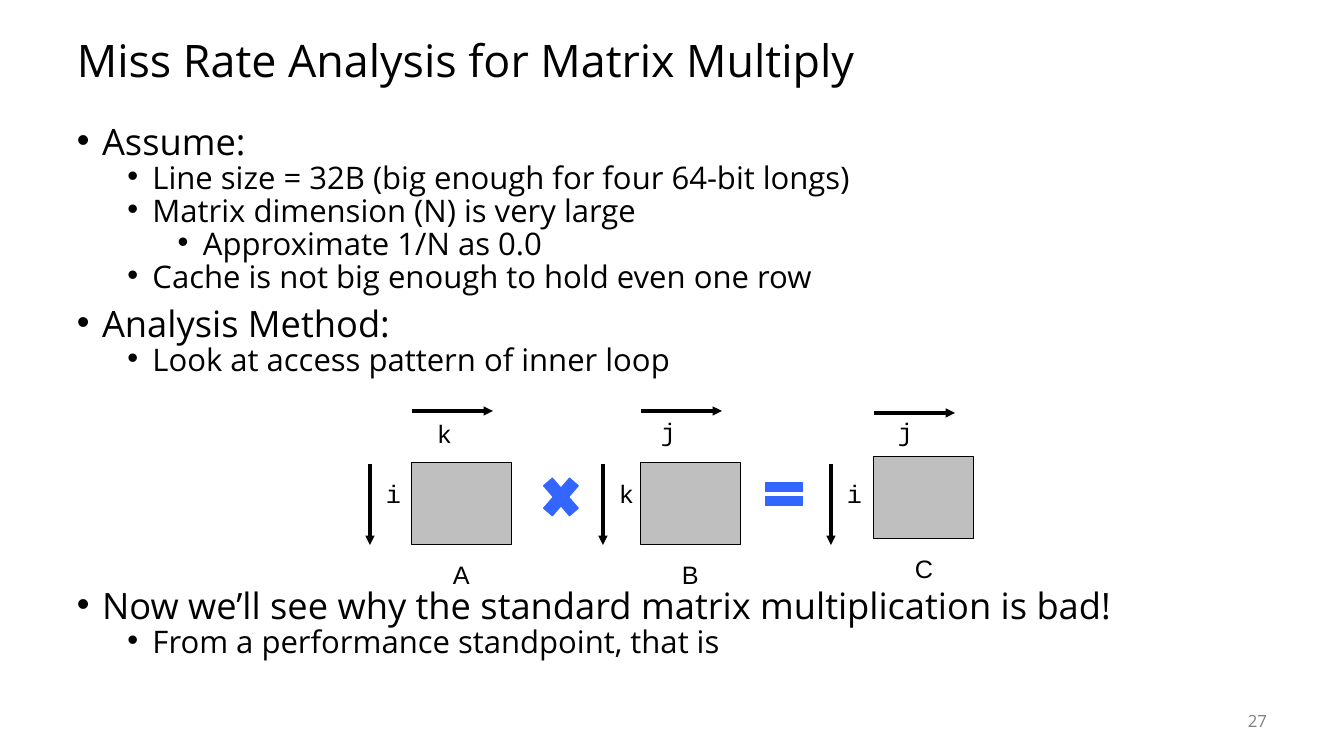
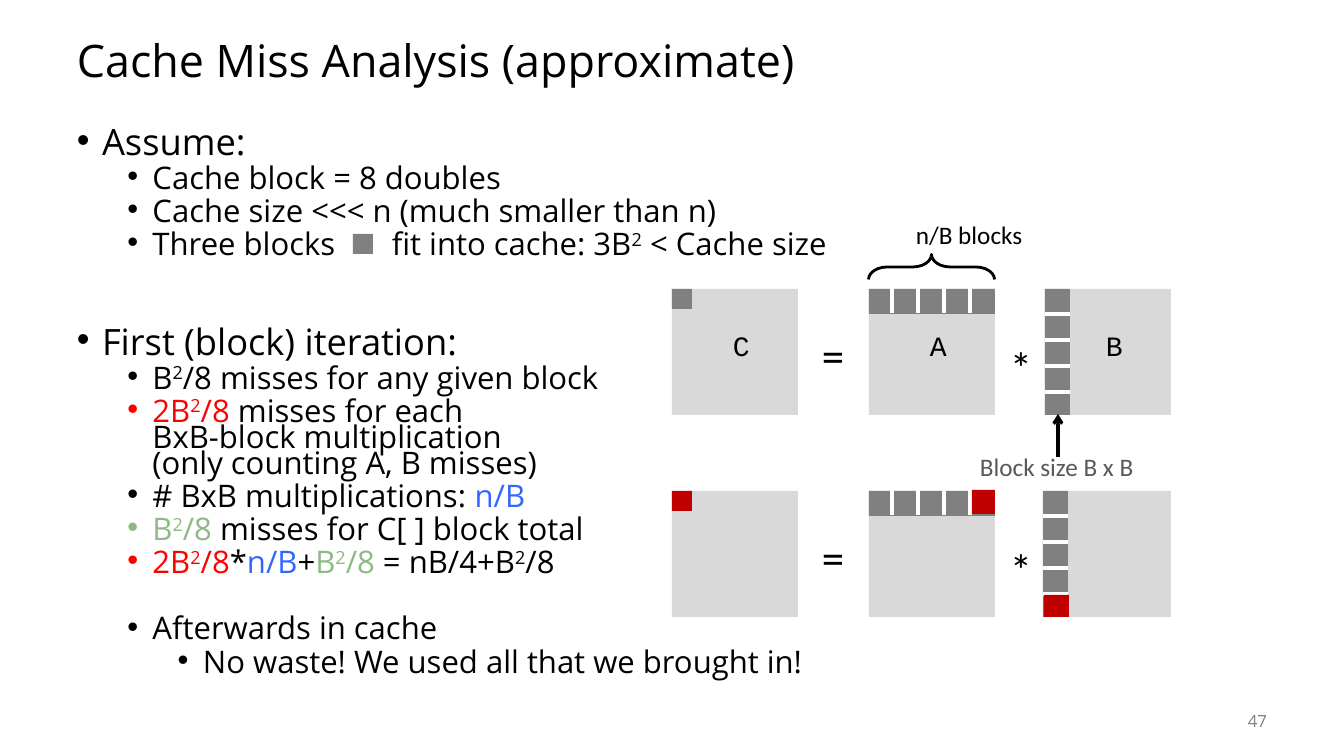
from dataclasses import dataclass

from lxml.etree import SubElement
from pptx import Presentation
from pptx.dml.color import RGBColor
from pptx.enum.shapes import MSO_CONNECTOR, MSO_SHAPE
from pptx.enum.text import MSO_ANCHOR as Anchor, PP_ALIGN as Align
from pptx.oxml.ns import qn
from pptx.util import Emu, Inches, Pt

SCALE = 914400 / 100.8

BLACK = RGBColor(0x00, 0x00, 0x00)
WHITE = RGBColor(0xFF, 0xFF, 0xFF)
GRAY = RGBColor(0x80, 0x80, 0x80)
CAPTION_GRAY = RGBColor(0x59, 0x59, 0x59)
MATRIX_GRAY = RGBColor(0xBF, 0xBF, 0xBF)
PANEL_GRAY = RGBColor(0xD9, 0xD9, 0xD9)
BLUE = RGBColor(0x33, 0x66, 0xFF)
RED = RGBColor(0xFF, 0x00, 0x00)
DARK_RED = RGBColor(0xC0, 0x00, 0x00)
GREEN = RGBColor(0x8D, 0xBA, 0x84)

SANS, MONO, LABEL, CAPTION = "Open Sans", "Courier New", "Arial", "Calibri"
LEVEL_SIZES = (25.9, 22.2, 22.2)
LEVEL_SPACING = (14, 5, 5)
LINE_SPACING = 0.7
PANEL = 126
STRIP = 25
CORNER = 20
DIVIDER_STEP = 26


@dataclass(frozen=True)
class Span:
    """A stretch of text in one format; gap widens its characters, in points."""
    text: str
    color: RGBColor = BLACK
    raised: bool = False
    gap: float = 0


@dataclass(frozen=True)
class Bullet:
    """A bulleted paragraph with extra space above it, in points."""
    level: int
    spans: tuple[Span, ...]
    extra: float = 0


@dataclass(frozen=True)
class Matrix:
    """A square with an arrow and an index label along each side."""
    name: str
    left: int
    top: int
    across: str
    across_left: int
    across_top: int
    arrow_top: int
    down: str
    arrow_left: int


@dataclass(frozen=True)
class Product:
    """One row of the C = A * B block diagram."""
    top: int
    names: tuple[str, str, str]
    column_left: int
    corner_color: RGBColor


def px(length: float) -> Emu:
    """Turn pixels into EMU."""
    return Emu(round(length * SCALE))


def write(para, text: str, *, size: float, font: str = SANS, color=BLACK,
          raised: bool = False, gap: float = 0) -> None:
    """Add formatted text to a paragraph, with a line break at each newline."""
    for index, part in enumerate(text.split("\n")):
        if index:
            para.add_line_break()
        run = para.add_run()
        run.text = part
        run.font.name = font
        run.font.size = Pt(size)
        run.font.color.rgb = color
        properties = run.font._element
        if raised:
            properties.set("baseline", "30000")
        if gap:
            properties.set("spc", str(round(gap * 100)))


def add_text(page, text: str, left: int, top: int, width: int, height: int, *,
             wrap: bool = False, anchor=Anchor.TOP, align=Align.LEFT,
             spacing: float = 1.0, **style) -> None:
    """Add a text box that holds one paragraph."""
    box = page.shapes.add_textbox(px(left), px(top), px(width), px(height))
    frame = box.text_frame
    frame.word_wrap = wrap
    frame.vertical_anchor = anchor
    para = frame.paragraphs[0]
    para.alignment = align
    para.line_spacing = spacing
    write(para, text, **style)


def add_block(page, left: int, top: int, width: int, height: int, *,
              kind=MSO_SHAPE.RECTANGLE, fill=None, line=None, weight: float = 0.75):
    """Add a flat preset shape and return it."""
    block = page.shapes.add_shape(kind, px(left), px(top), px(width), px(height))
    block.shadow.inherit = False
    if fill is None:
        block.fill.background()
    else:
        block.fill.solid()
        block.fill.fore_color.rgb = fill
    if line is None:
        block.line.fill.background()
    else:
        block.line.color.rgb = line
        block.line.width = Pt(weight)
    return block


def add_line(page, start: tuple[int, int], end: tuple[int, int], *,
             color=BLACK, head: str = "") -> None:
    """Add a straight line, with an arrowhead at its end if one is named."""
    line = page.shapes.add_connector(
        MSO_CONNECTOR.STRAIGHT, *map(px, start), *map(px, end))
    line.line.color.rgb = color
    line.line.width = Pt(2.25)
    if head:
        SubElement(line.line._get_or_add_ln(), qn("a:tailEnd"), type=head)
    SubElement(line._element.spPr, qn("a:effectLst"))


def add_bullets(page, bullets: tuple[Bullet, ...]) -> None:
    """Add the bulleted body text."""
    box = page.shapes.add_textbox(px(67), px(126), px(1210), px(554))
    frame = box.text_frame
    frame.word_wrap = True
    for index, bullet in enumerate(bullets):
        para = frame.add_paragraph() if index else frame.paragraphs[0]
        para.level = bullet.level
        para.line_spacing = LINE_SPACING
        above = LEVEL_SPACING[bullet.level] + bullet.extra
        para.space_before = Pt(above if index else 0)
        properties = para._p.get_or_add_pPr()
        properties.set("marL", str(Inches(0.25 + 0.5 * bullet.level)))
        properties.set("indent", str(Inches(-0.25)))
        tint = SubElement(properties, qn("a:buClr"))
        SubElement(tint, qn("a:srgbClr"), val=str(bullet.spans[0].color))
        SubElement(properties, qn("a:buFont"), typeface=LABEL)
        SubElement(properties, qn("a:buChar"), char="•")
        for span in bullet.spans:
            write(para, span.text, size=LEVEL_SIZES[bullet.level],
                  color=span.color, raised=span.raised, gap=span.gap)


def add_page(deck, title: str, number: int, bullets: tuple[Bullet, ...]):
    """Add a slide with its title, body text and page number."""
    page = deck.slides.add_slide(deck.slide_layouts[6])
    add_text(page, title, 67, 25, 1210, 76, wrap=True, anchor=Anchor.MIDDLE,
             spacing=0.9, size=32)
    add_bullets(page, bullets)
    add_text(page, str(number), 1176, 701, 101, 40, wrap=True,
             anchor=Anchor.MIDDLE, align=Align.RIGHT, size=12, color=GRAY)
    return page


def plain(level: int, text: str, extra: float = 0) -> Bullet:
    """Make a bullet in a single format."""
    return Bullet(level, (Span(text),), extra)


def misses(start: str, color=BLACK) -> tuple[Span, ...]:
    """Spell a count of misses: start, squared, over eight."""
    return Span(start, color), Span("2", color, raised=True), Span("/8", color)


def draw_matrix(page, matrix: Matrix) -> None:
    """Draw a matrix with its name and index arrows."""
    left, top, side = matrix.left, matrix.top, 81
    add_block(page, left, top, 100, 82, fill=MATRIX_GRAY, line=BLACK)
    add_text(page, matrix.name, left + 31, top + 91, 37, 40, size=18, font=LABEL)
    add_line(page, (left, matrix.arrow_top), (left + side, matrix.arrow_top),
             head="triangle")
    add_line(page, (matrix.arrow_left, 464), (matrix.arrow_left, 464 + side),
             head="triangle")
    add_text(page, matrix.across, matrix.across_left, matrix.across_top, 35, 40,
             size=18, font=MONO)
    add_text(page, matrix.down, matrix.arrow_left + 6, 473, 35, 40,
             size=18, font=MONO)


def draw_product(page, product: Product) -> None:
    """Draw three panels with the blocks that one iteration touches."""
    top, column = product.top, product.column_left
    for left, name in zip((672, 869, 1045), product.names):
        panel = add_block(page, left, top, PANEL, PANEL, fill=PANEL_GRAY)
        if name:
            frame = panel.text_frame
            frame.vertical_anchor = Anchor.TOP
            frame.margin_left, frame.margin_top = px(61), px(39)
            frame.paragraphs[0].alignment = Align.LEFT
            write(frame.paragraphs[0], name, size=20, font=MONO)
    add_text(page, "=", 812, top + 34, 43, 65, size=32, font=CAPTION)
    add_text(page, "*", 1000, top + 46, 43, 65, size=32, font=CAPTION)
    add_block(page, 672, top, CORNER, CORNER, fill=product.corner_color)
    add_block(page, 869, top, PANEL, STRIP, fill=GRAY)
    add_block(page, column, top, STRIP, PANEL, fill=GRAY)
    for index in range(4):
        x = 892 + DIVIDER_STEP * index
        y = top + STRIP + DIVIDER_STEP * index
        add_line(page, (x, top - 1), (x, top + STRIP - 1), color=WHITE)
        add_line(page, (column, y), (column + STRIP, y), color=WHITE)


MATRICES = (
    Matrix("A", 412, 463, "k", 427, 413, 411, "i", 370),
    Matrix("B", 641, 463, "j", 651, 411, 411, "k", 603),
    Matrix("C", 874, 457, "j", 888, 411, 413, "i", 831),
)
PRODUCTS = (
    Product(289, ("C", "A", "B"), 1045, GRAY),
    Product(491, ("", "", ""), 1043, DARK_RED),
)
MATRIX_BULLETS = (
    plain(0, "Assume:"),
    plain(1, "Line size = 32B (big enough for four 64-bit longs)"),
    plain(1, "Matrix dimension (N) is very large"),
    plain(2, "Approximate 1/N as 0.0"),
    plain(1, "Cache is not big enough to hold even one row"),
    plain(0, "Analysis Method:"),
    plain(1, "Look at access pattern of inner loop"),
    plain(0, "Now we’ll see why the standard matrix multiplication is bad!", 142),
    plain(1, "From a performance standpoint, that is"),
)
CACHE_BULLETS = (
    plain(0, "Assume:"),
    plain(1, "Cache block = 8 doubles"),
    plain(1, "Cache size <<< n (much smaller than n)"),
    Bullet(1, (Span("Three blocks"), Span(" ", gap=34.6),
               Span("fit into cache: 3B"), Span("2", raised=True),
               Span(" < Cache size"))),
    plain(0, "First (block) iteration:", 36),
    Bullet(1, (*misses("B"), Span(" misses for any given block"))),
    Bullet(1, (*misses("2B", RED), Span(
        " misses for each\nBxB-block multiplication\n(only counting A, B misses)"))),
    Bullet(1, (Span("# BxB multiplications: "), Span("n/B", BLUE))),
    Bullet(1, (*misses("B", GREEN), Span(" misses for C[ ] block total"))),
    Bullet(1, (*misses("2B", RED), Span("*"), Span("n/B", BLUE), Span("+"),
               *misses("B", GREEN), *misses(" = nB/4+B"))),
    plain(1, "Afterwards in cache", 23.7),
    plain(2, "No waste! We used all that we brought in!"),
)


def build_matrix_page(deck) -> None:
    """Build the slide on the access pattern of matrix multiply."""
    page = add_page(deck, "Miss Rate Analysis for Matrix Multiply", 27, MATRIX_BULLETS)
    for matrix in MATRICES:
        draw_matrix(page, matrix)
    add_block(page, 536, 468, 50, 58, kind=MSO_SHAPE.MATH_MULTIPLY,
              fill=BLUE, line=BLUE)
    add_block(page, 759, 475, 50, 38, kind=MSO_SHAPE.MATH_EQUAL,
              fill=BLUE, line=BLUE)


def build_cache_page(deck) -> None:
    """Build the slide on blocked matrix multiply."""
    page = add_page(deck, "Cache Miss Analysis (approximate)", 47, CACHE_BULLETS)
    add_block(page, 353, 234, CORNER, CORNER, fill=GRAY)
    for product in PRODUCTS:
        draw_product(page, product)
    add_block(page, 972, 490, 23, 24, fill=DARK_RED)
    add_block(page, 1044, 595, 25, 22, fill=DARK_RED)
    brace = add_block(page, 919, 204, STRIP, PANEL, kind=MSO_SHAPE.LEFT_BRACE,
                      line=BLACK, weight=2)
    brace.adjustments[0] = 0.75
    brace.rotation = 90
    add_text(page, "n/B blocks", 906, 214, 131, 40, size=18, font=CAPTION)
    add_text(page, "Block size B x B", 970, 446, 179, 40, size=18, font=CAPTION,
             color=CAPTION_GRAY)
    add_line(page, (1058, 457), (1058, 414), head="arrow")


deck = Presentation()
deck.slide_width, deck.slide_height = px(1344), px(756)
build_matrix_page(deck)
build_cache_page(deck)
deck.save("out.pptx")
